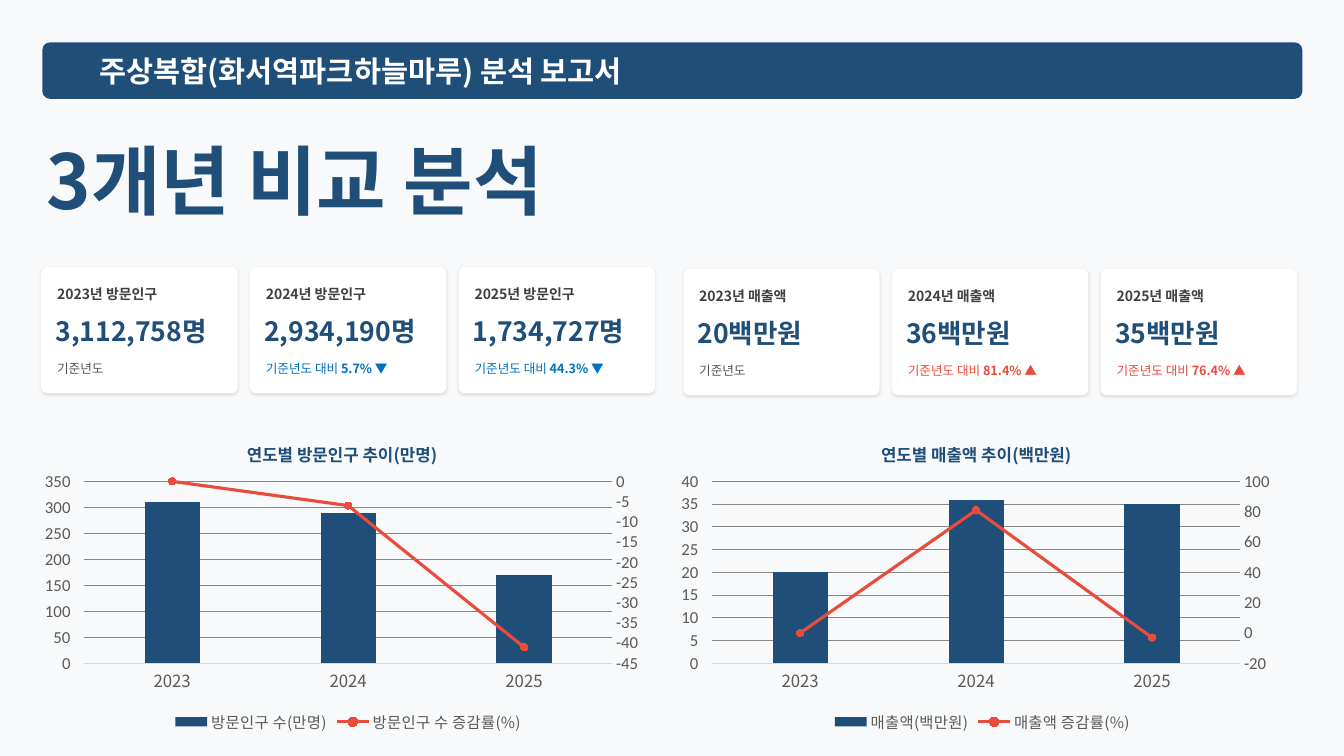
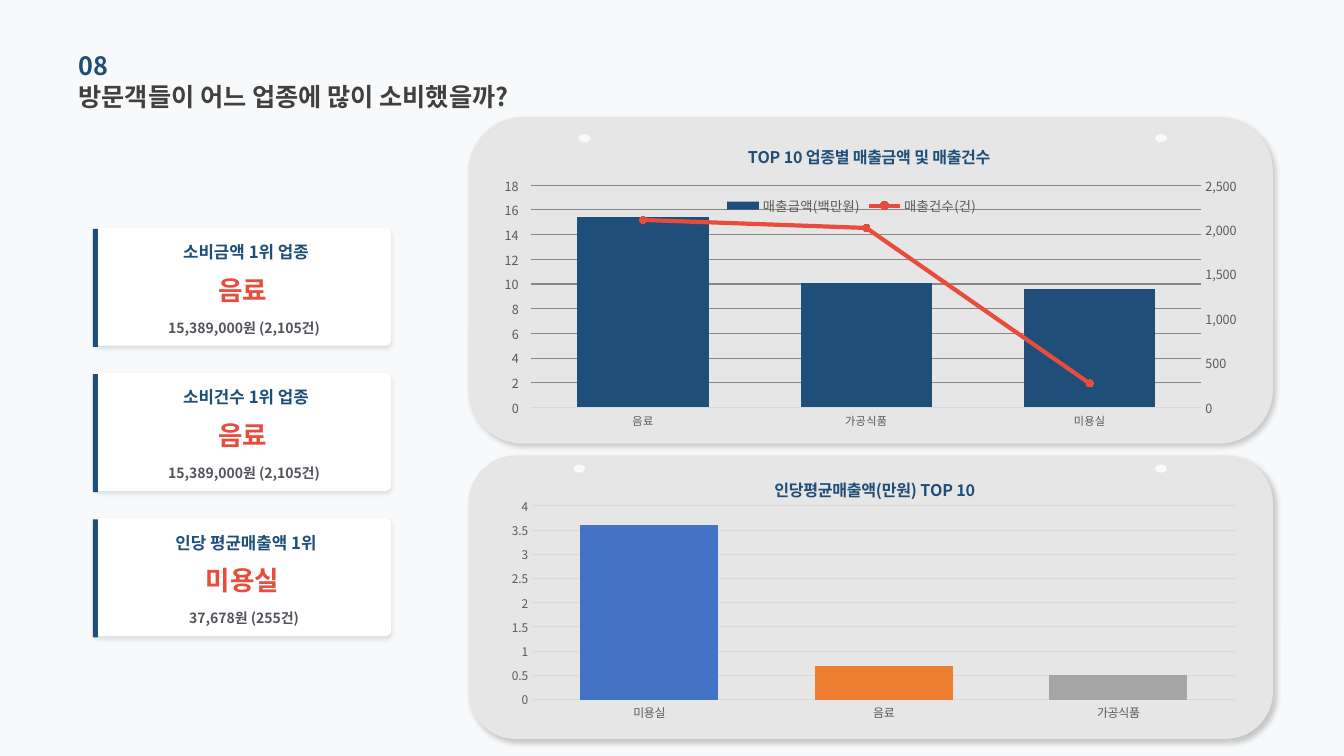
"""Builds a two-slide report on visitors and sales with cards and combined charts."""
from dataclasses import dataclass

from lxml import etree
from pptx import Presentation
from pptx.chart.axis import ValueAxis
from pptx.chart.data import CategoryChartData
from pptx.dml.color import RGBColor
from pptx.enum.chart import XL_CHART_TYPE, XL_LEGEND_POSITION, XL_MARKER_STYLE, XL_TICK_MARK
from pptx.enum.shapes import MSO_SHAPE
from pptx.enum.text import MSO_ANCHOR, MSO_AUTO_SIZE, PP_ALIGN
from pptx.oxml import parse_xml
from pptx.oxml.ns import nsdecls, qn
from pptx.util import Cm, Pt

COLUMNS = XL_CHART_TYPE.COLUMN_CLUSTERED
BOTTOM, TOP = XL_LEGEND_POSITION.BOTTOM, XL_LEGEND_POSITION.TOP
CIRCLE = XL_MARKER_STYLE.CIRCLE
NO_TICK = XL_TICK_MARK.NONE
RECTANGLE, ROUNDED, OVAL = MSO_SHAPE.RECTANGLE, MSO_SHAPE.ROUNDED_RECTANGLE, MSO_SHAPE.OVAL
MIDDLE = MSO_ANCHOR.MIDDLE
NO_FIT = MSO_AUTO_SIZE.NONE
LEFT, CENTER = PP_ALIGN.LEFT, PP_ALIGN.CENTER


@dataclass(frozen=True)
class Theme:
    font: str = "Noto Sans CJK KR"
    digits: str = "Calibri"
    page: str = "F8F9FA"
    navy: str = "1F4E79"
    red: str = "E74C3C"
    blue: str = "0070C0"
    dark: str = "404040"
    gray: str = "51545A"
    axis: str = "595959"
    grid: str = "D9D9D9"
    panel: str = "E7E6E6"
    white: str = "FFFFFF"
    points: tuple = ("4472C4", "ED7D31", "A5A5A5")
    hero: float = 54
    band: float = 21
    figure: float = 19
    heading: float = 18
    card: float = 12
    label: float = 10
    note: float = 9


THEME = Theme()
rgb = RGBColor.from_string


def place(shapes, area, spans=(), size=0, color="", align=LEFT, holder=None,
          kind=None, fill="", radius=None, shadow=None):
    """Place a filled shape, a text box or a given placeholder."""
    left, top, width, height = map(Cm, area)
    if kind is not None:
        box = shapes.add_shape(kind, left, top, width, height)
        box.shadow.inherit = False
        box.fill.solid()
        box.fill.fore_color.rgb = rgb(fill)
        box.line.fill.background()
        if radius:
            box.adjustments[0] = radius
        if shadow:
            alpha, blur, distance, angle = shadow
            box.element.spPr.find(qn("a:effectLst")).append(parse_xml(
                f'<a:outerShdw {nsdecls("a")} blurRad="{Pt(blur)}" dist="{Pt(distance)}" '
                f'dir="{angle * 60000}" algn="ctr" rotWithShape="0"><a:srgbClr val="000000">'
                f'<a:alpha val="{alpha * 1000}"/></a:srgbClr></a:outerShdw>'))
        return
    box = holder or shapes.add_textbox(left, top, width, height)
    for name, value in {"left": left, "top": top, "width": width, "height": height}.items():
        setattr(box, name, value)
    frame_format = {"word_wrap": True, "auto_size": NO_FIT, "vertical_anchor": MIDDLE,
                    "margin_left": 0, "margin_right": 0, "margin_top": 0, "margin_bottom": 0}
    for name, value in frame_format.items():
        setattr(box.text_frame, name, value)
    para = box.text_frame.paragraphs[0]
    para.alignment = align
    for text, bold in spans:
        span = para.add_run()
        span.text = text
        for name, value in {"name": THEME.font, "size": Pt(size), "bold": bold}.items():
            setattr(span.font, name, value)
        span.font.color.rgb = rgb(color)


def set_layout(parent, index, values, inner=False):
    """Fix the position of a chart part as shares of the chart area."""
    for old in parent.findall(qn("c:layout")):
        parent.remove(old)
    layout = etree.Element(qn("c:layout"))
    manual = etree.SubElement(layout, qn("c:manualLayout"))
    settings = [("layoutTarget", "inner")] if inner else []
    settings += [("xMode", "edge"), ("yMode", "edge"), *zip("xywh", values)]
    for name, value in settings:
        etree.SubElement(manual, qn(f"c:{name}")).set("val", str(value))
    parent.insert(index, layout)


deck = Presentation()
deck.slide_width, deck.slide_height = Cm(33.87), Cm(19.05)
deck.slide_master.background.fill.solid()
deck.slide_master.background.fill.fore_color.rgb = rgb(THEME.page)
yearly, sectors = [deck.slides.add_slide(deck.slide_layouts[5]) for _ in range(2)]

place(yearly.shapes, (1.17, 3.12, 16.05, 2.77), [("3개년 비교 분석", True)],
      THEME.hero, THEME.navy, holder=yearly.shapes.title)
place(yearly.shapes, (1.07, 1.07, 31.75, 1.42), kind=ROUNDED, fill=THEME.navy, radius=0.13)
place(yearly.shapes, (2.51, 1.24, 28.83, 1.09), [("주상복합(화서역파크하늘마루) 분석 보고서", True)],
      THEME.band, THEME.white)

base_year = [("기준년도", False)]
card_groups = [
    (1.04, 6.73, "방문인구", THEME.blue, [
        ("2023", "3,112,758명", "", 2.84),
        ("2024", "2,934,190명", "5.7% ▼", 2.74),
        ("2025", "1,734,727명", "44.3% ▼", 2.62)]),
    (17.22, 6.78, "매출액", THEME.red, [
        ("2023", "20백만원", "", 2.6),
        ("2024", "36백만원", "81.4% ▲", 2.6),
        ("2025", "35백만원", "76.4% ▲", 2.6)]),
]
for start, top, measure, change_color, cards in card_groups:
    for column, (year, amount, change, label_width) in enumerate(cards):
        left = start + 5.26 * column
        place(yearly.shapes, (left, top, 4.95, 3.18), kind=ROUNDED, fill=THEME.white,
              radius=0.05, shadow=(10, 2, 1, 90))
        place(yearly.shapes, (left + 0.4, top + 0.46, label_width, 0.43),
              [(f"{year}년 {measure}", True)], THEME.label, THEME.dark)
        place(yearly.shapes, (left + 0.36, top + 1.24, 4.95, 0.74),
              [(amount, True)], THEME.figure, THEME.navy)
        note = [("기준년도 대비 ", False), (change, True)] if change else base_year
        place(yearly.shapes, (left + 0.4, top + 2.3, 4.5, 0.53), note,
              THEME.note, change_color if change else THEME.gray)

for top, height in [(11.48, 7.14), (2.95, 8.23)]:
    place(sectors.shapes, (11.81, top, 20.27, height), kind=ROUNDED, fill=THEME.panel,
          shadow=(20, 4, 3, 45))
place(sectors.shapes, (1.98, 1.91, 11.48, 1.04),
      [("방문객들이 어느 업종에 많이 소비했을까?", True)],
      THEME.heading, THEME.dark, holder=sectors.shapes.title)
place(sectors.shapes, (1.98, 1.12, 11.48, 1.04), [("08", True)], THEME.heading, THEME.navy)

winners = [
    ("소비금액 1위 업종", "음료", "15,389,000원 (2,105건)"),
    ("소비건수 1위 업종", "음료", "15,389,000원 (2,105건)"),
    ("인당 평균매출액 1위", "미용실", "37,678원 (255건)"),
]
for row, (heading, winner, detail) in enumerate(winners):
    top = 5.74 + 3.66 * row
    card = sectors.shapes.add_group_shape()
    place(card.shapes, (2.36, top, 7.5, 2.97), kind=ROUNDED, fill=THEME.white,
          radius=0.05, shadow=(10, 3, 2, 90))
    lines = [(2.45, 0.33, 0.56, heading, THEME.card, THEME.navy),
             (2.36, 1.13, 0.86, winner, THEME.figure, THEME.red),
             (2.4, 2.3, 0.43, detail, THEME.label, THEME.gray)]
    for left, offset, height, text, size, color in lines:
        place(card.shapes, (left, top + offset, 7.5, height), [(text, True)], size, color, CENTER)
    place(sectors.shapes, (2.34, top + 0.03, 0.13, 2.97), kind=RECTANGLE, fill=THEME.navy)

years = ["2023", "2024", "2025"]
yearly_style = {
    "slide": yearly, "categories": years, "gap": 219, "title_size": 12, "category_size": 12,
    "value_size": 12, "value_font": THEME.digits, "legend": BOTTOM, "legend_size": 11,
    "line_width": 2.25, "right_format": "General",
}
sector_style = {
    "slide": sectors, "gap": 70, "title_size": 11.5, "value_font": THEME.font,
}
charts = [
    {**yearly_style, "area": (1.04, 10.52, 15.47, 8.05), "title": "연도별 방문인구 추이(만명)",
     "title_at": (0.33, 0.06), "plot": (0.07, 0.2, 0.86, 0.57),
     "format": "#,##0_);[Red]\\(#,##0\\)", "scale": (0, 350, 50), "right_scale": (-45, 0, 5),
     "series": [("방문인구 수(만명)", (310, 290, 170)), ("방문인구 수 증감률(%)", (0, -6, -41))]},
    {**yearly_style, "area": (17.02, 10.52, 15.47, 8.05), "title": "연도별 매출액 추이(백만원)",
     "title_at": (0.33, 0.06), "plot": (0.06, 0.2, 0.86, 0.57),
     "format": "#,##0_ ", "scale": (0, 40, 5), "right_scale": (-20, 100, 20),
     "series": [("매출액(백만원)", (20, 36, 35)), ("매출액 증감률(%)", (0, 81, -3))]},
    {**sector_style, "area": (12.65, 3.15, 18.59, 8), "title": "TOP 10 업종별 매출금액 및 매출건수",
     "title_at": (0.33, 0.05), "plot": (0.04, 0.19, 0.91, 0.7),
     "categories": ["음료", "가공식품", "미용실"], "category_size": 8, "value_size": 9,
     "format": "#,##0_ ", "scale": (0, 18, 2), "right_format": "#,##0_ ",
     "right_scale": (0, 2500, 500), "line_width": 3,
     "legend": TOP, "legend_size": 9.5, "legend_at": (0.3, 0.21),
     "series": [("매출금액(백만원)", (15.4, 10.1, 9.6)), ("매출건수(건)", (2110, 2020, 270))]},
    {**sector_style, "area": (12.65, 11.53, 18.87, 6.78), "title": "인당평균매출액(만원) TOP 10",
     "title_at": (0.36, 0.06), "plot": (0.04, 0.18, 0.94, 0.72),
     "categories": ["미용실", "음료", "가공식품"], "category_size": 8.5, "value_size": 8.5,
     "format": "General", "scale": (0, 4, 0.5),
     "series": [("Series 1", (3.6, 0.7, 0.5))]},
]
text_roots = [yearly.element, sectors.element]
for design in charts:
    data = CategoryChartData()
    data.categories = design["categories"]
    for name, values in design["series"]:
        data.add_series(name, values)
    chart = design["slide"].shapes.add_chart(COLUMNS, *map(Cm, design["area"]), data).chart
    text_roots.append(chart.element)
    chart_part = chart.element.find(qn("c:chart"))
    plot_area = chart_part.find(qn("c:plotArea"))
    chart_part.addnext(parse_xml(
        f'<c:spPr {nsdecls("c", "a")}><a:noFill/><a:ln><a:noFill/></a:ln></c:spPr>'))
    chart.font.name, chart.font.size = THEME.digits, Pt(10)
    columns = chart.plots[0]
    columns.gap_width, columns.vary_by_categories = design["gap"], False
    value_axes = [(chart.value_axis, design["format"], design["scale"])]
    combined = len(design["series"]) == 2

    if combined:
        extra = parse_xml(
            f'<c:plotArea {nsdecls("c")}><c:lineChart><c:grouping val="standard"/>'
            '<c:varyColors val="0"/><c:marker val="1"/><c:axId val="5001"/><c:axId val="5002"/>'
            '</c:lineChart><c:valAx><c:axId val="5002"/><c:scaling/><c:delete val="0"/>'
            '<c:axPos val="r"/><c:majorTickMark val="out"/><c:minorTickMark val="none"/>'
            '<c:tickLblPos val="nextTo"/><c:crossAx val="5001"/><c:crosses val="max"/></c:valAx>'
            '<c:catAx><c:axId val="5001"/><c:scaling/><c:delete val="1"/><c:axPos val="b"/>'
            '<c:crossAx val="5002"/></c:catAx></c:plotArea>')
        line_chart, right_axis, hidden_axis = extra
        bar_chart = plot_area.find(qn("c:barChart"))
        moved = bar_chart.findall(qn("c:ser"))[1]
        for flag in moved.findall(qn("c:invertIfNegative")):
            moved.remove(flag)
        line_chart.insert(2, moved)
        bar_chart.addnext(line_chart)
        plot_area.findall(qn("c:valAx"))[-1].addnext(right_axis)
        right_axis.addnext(hidden_axis)
        value_axes.append((ValueAxis(right_axis), design["right_format"], design["right_scale"]))
        trend = chart.plots[1].series[0]
        trend.smooth = False
        trend.format.line.width = Pt(design["line_width"])
        trend.format.line.color.rgb = rgb(THEME.red)
        trend.marker.style, trend.marker.size = CIRCLE, 5
        trend.marker.format.fill.solid()
        trend.marker.format.fill.fore_color.rgb = rgb(THEME.red)
        trend.marker.format.line.color.rgb = rgb(THEME.red)

    bars = columns.series[0]
    fills = [(bars, THEME.navy)] if combined else [
        (bars.points[index], color) for index, color in enumerate(THEME.points)]
    for target, color in fills:
        target.format.fill.solid()
        target.format.fill.fore_color.rgb = rgb(color)

    chart.has_title = True
    chart.chart_title.text_frame.text = design["title"]
    title_font = chart.chart_title.text_frame.paragraphs[0].runs[0].font
    fonts = [(title_font, THEME.font, design["title_size"], THEME.navy, True),
             (chart.category_axis.tick_labels.font, THEME.font, design["category_size"],
              THEME.axis, False)]
    category_axis = chart.category_axis
    category_axis.major_tick_mark = NO_TICK
    chart.value_axis.major_tick_mark = NO_TICK
    chart.value_axis.has_major_gridlines = True
    for line in (category_axis.format.line, chart.value_axis.major_gridlines.format.line):
        line.color.rgb = rgb(THEME.grid)
        line.width = Pt(0.75)
    for axis, number_format, (minimum, maximum, step) in value_axes:
        axis.minimum_scale, axis.maximum_scale, axis.major_unit = minimum, maximum, step
        axis.tick_labels.number_format = number_format
        axis.tick_labels.number_format_is_linked = False
        axis.format.line.fill.background()
        fonts.append((axis.tick_labels.font, design["value_font"], design["value_size"],
                      THEME.axis, False))
    chart.has_legend = combined
    if combined:
        chart.legend.position, chart.legend.include_in_layout = design["legend"], False
        fonts.append((chart.legend.font, THEME.font, design["legend_size"], THEME.axis, False))
        if "legend_at" in design:
            set_layout(chart_part.find(qn("c:legend")), 1, design["legend_at"])
    for font, name, size, color, bold in fonts:
        for attribute, value in {"name": name, "size": Pt(size), "bold": bold}.items():
            setattr(font, attribute, value)
        font.color.rgb = rgb(color)
    set_layout(chart_part.find(qn("c:title")), 1, design["title_at"])
    set_layout(plot_area, 0, design["plot"], inner=True)

for left, top in [(14.58, 3.38), (29.11, 3.38), (29.11, 11.71), (14.45, 11.71)]:
    place(sectors.shapes, (left, top, 0.3, 0.2), kind=OVAL, fill=THEME.page)

for root in text_roots:
    for latin in list(root.iter(qn("a:latin"))):
        east_asian = etree.Element(qn("a:ea"))
        east_asian.set("typeface", latin.get("typeface"))
        latin.addnext(east_asian)

deck.save("out.pptx")
